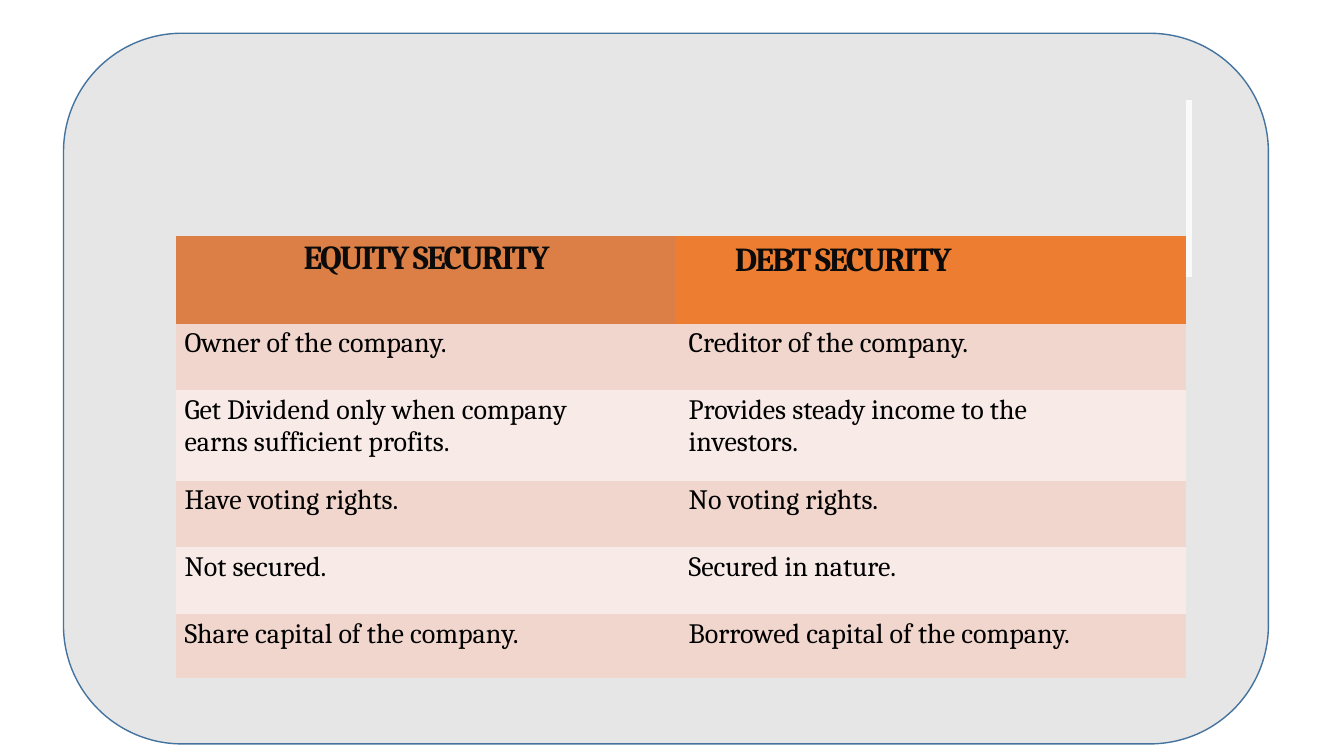
from pptx import Presentation
from pptx.dml.color import RGBColor
from pptx.enum import shapes, text
from pptx.util import Inches, Pt

GREY = RGBColor(0xE7, 0xE6, 0xE6)
BLUE = RGBColor(0x43, 0x73, 0x9E)
STRIP = RGBColor(0xFA, 0xFA, 0xFA)
HEADS = RGBColor(0xDC, 0x7F, 0x46), RGBColor(0xED, 0x7D, 0x31)
BANDS = RGBColor(0xF1, 0xD6, 0xCD), RGBColor(0xF8, 0xEB, 0xE7)
INK = RGBColor(0x0B, 0x0B, 0x0B)
BLACK = RGBColor(0, 0, 0)
PLAIN = "{2D5ABB26-0587-4C30-8999-92F81FD0307C}"

COLS = 4.94, 5.07, 0.06
ROWS = 1.35, 0.41, 0.46, 0.66, 0.9, 0.66, 0.66, 0.64
TITLES = "EQUITY SECURITY", "DEBT SECURITY"
PAIRS = [
    ("Owner of the company.", "Creditor of the company."),
    ("Get Dividend only when company earns sufficient profits.",
     "Provides steady income to the investors."),
    ("Have voting rights.", "No voting rights."),
    ("Not secured.", "Secured in nature."),
    ("Share capital of the company.", "Borrowed capital of the company."),
]


def add_panel(slide, x, y, w, h):
    panel = slide.shapes.add_shape(shapes.MSO_SHAPE.ROUNDED_RECTANGLE,
                                   Inches(x), Inches(y), Inches(w), Inches(h))
    panel.shadow.inherit = False
    panel.fill.solid()
    panel.fill.fore_color.rgb = GREY
    panel.line.color.rgb = BLUE
    panel.line.width = Pt(1)


def paint(cell, color):
    cell.fill.solid()
    cell.fill.fore_color.rgb = color


def write(cell, words, size, color, left, top, right=0, bold=False, track=0):
    """Fill a cell with one line of text; track is in hundredths of a point."""
    cell.margin_left, cell.margin_top = Inches(left), Inches(top)
    cell.margin_right = Inches(right)
    para = cell.text_frame.paragraphs[0]
    para.text = words
    run = para.runs[0]
    run.font.name, run.font.size, run.font.bold = "Cambria", Pt(size), bold
    run.font.color.rgb = color
    run.font._element.set("spc", str(track))
    return para


def add_grid(slide, x, y):
    frame = slide.shapes.add_table(len(ROWS), len(COLS), Inches(x), Inches(y),
                                   Inches(sum(COLS)), Inches(sum(ROWS)))
    grid = frame.table
    grid._tbl.tblPr.find("{*}tableStyleId").text = PLAIN
    grid.first_row = grid.horz_banding = False
    for col, width in zip(grid.columns, COLS):
        col.width = Inches(width)
    for row, height in zip(grid.rows, ROWS):
        row.height = Inches(height)
    for cell in grid.iter_cells():
        cell.fill.background()
        cell.margin_left = cell.margin_right = 0
        cell.margin_top = cell.margin_bottom = 0

    grid.cell(0, 0).merge(grid.cell(0, 1))
    for r in (0, 1):
        paint(grid.cell(r, 2), STRIP)
    for c, title in enumerate(TITLES):
        head = grid.cell(1, c)
        head.merge(grid.cell(2, c))
        paint(head, HEADS[c])
        para = write(head, title, 24, INK, (0.02, 0.6)[c], (0.03, 0.05)[c],
                     bold=True, track=-130)
        if c == 0:
            para.alignment = text.PP_ALIGN.CENTER
    for r, pair in enumerate(PAIRS):
        for c, words in enumerate(pair):
            cell = grid.cell(r + 3, c)
            paint(cell, BANDS[r % 2])
            write(cell, words, 20, BLACK, (0.08, 0.14)[c], 0.04, right=0.6)


def main():
    deck = Presentation()
    deck.slide_width, deck.slide_height = Inches(13.33), Inches(7.5)
    slide = deck.slides.add_slide(deck.slide_layouts[6])
    add_panel(slide, 0.63, 0.33, 11.95, 7.05)
    add_grid(slide, 1.75, 0.99)
    deck.save("out.pptx")


if __name__ == "__main__":
    main()
